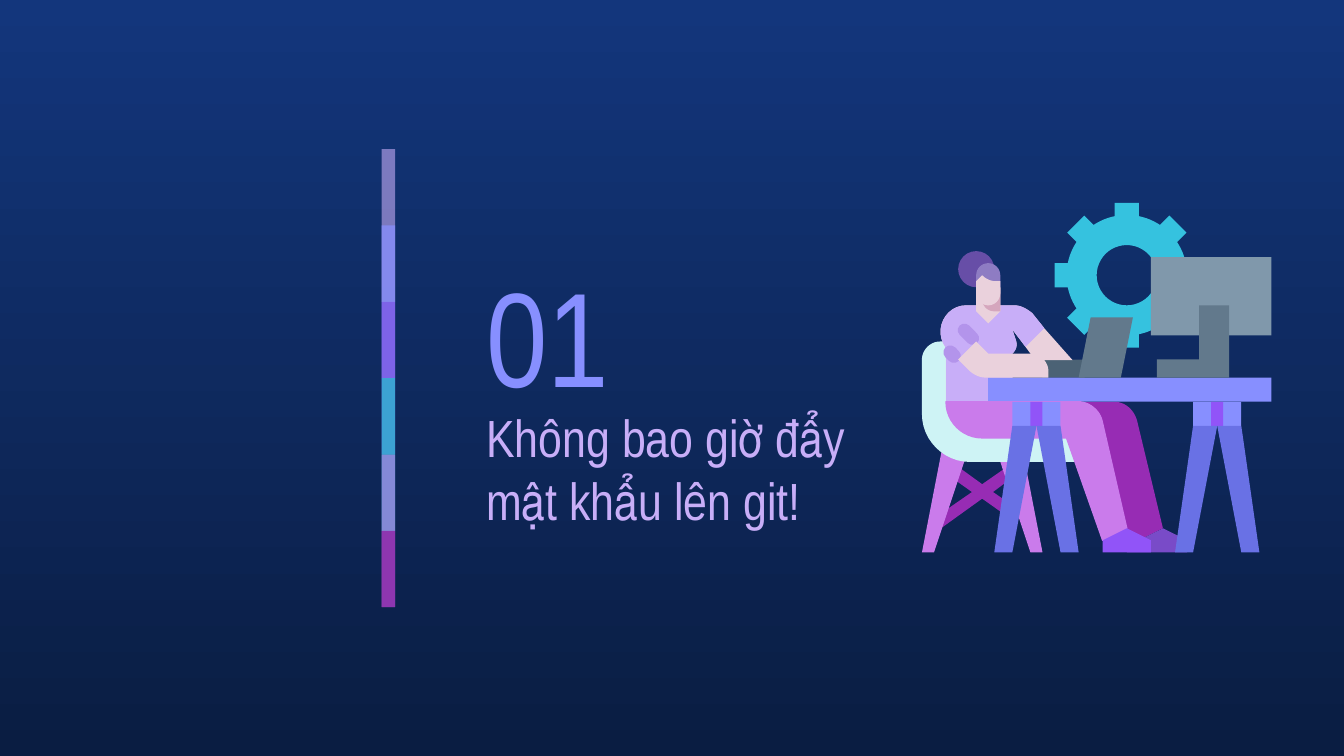
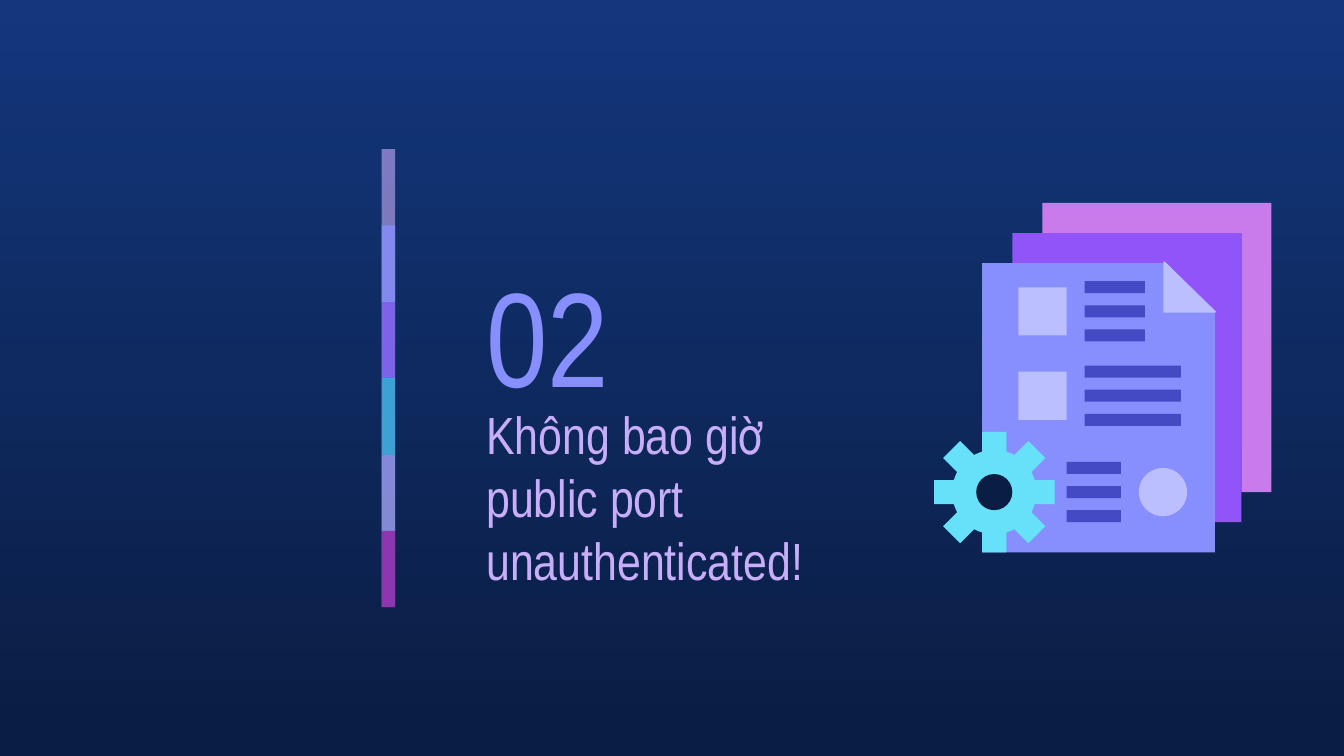
from math import cos, sin, pi, asin

from lxml.etree import SubElement as Sub
from pptx import Presentation
from pptx.dml.color import RGBColor as RGB
from pptx.enum.shapes import MSO_SHAPE as Kind
from pptx.enum.text import MSO_ANCHOR as Anchor
from pptx.oxml.ns import qn
from pptx.util import Inches, Pt

HUES = {
    "top": "13367C", "night": "0A1D42",
    "lilac": "C8AEF8", "blue": "878FFF", "violet": "9154F8",
    "teal": "35C2DF", "pink": "CA7BEB", "plum": "972CB4",
    "skin": "EAD1DC", "shade": "D5A6BD", "fold": "B394EB",
    "bun": "674EA7", "hair": "8E7CC3", "shoe": "794BC8",
    "seat": "CEF3F5", "slate": "4B6275", "steel": "62798C",
    "screen": "8098AB", "leg": "6971E5",
    "aqua": "67E0F9", "pale": "BBBFFF", "ink": "424BC4",
}
FACE = "Arial Narrow"
WIDE, HIGH = Inches(10), Inches(5.625)

# The artwork fills a square of 58 by 58 cells
CELL = Inches(2.6) / 58
LEFT, TOP = Inches(6.86), Inches(1.51)

# Colour and opacity of each rail band, downwards
RAIL = [("lilac", 59), ("blue", 74), ("violet", 53),
        ("teal", 76), ("pink", 56), ("plum", 74)]
BAND = 10.1


def trace(text):
    """Turn 'x,y' corners and 'x,y~x,y~x,y' curves into points."""
    dots = []
    for token in text.split():
        knots = [tuple(map(float, k.split(","))) for k in token.split("~")]
        if len(knots) == 1:
            dots += knots
            continue
        hull = [dots[-1], *knots]
        for step in range(1, 13):
            t = step / 12
            mix = ((1 - t) ** 3, 3 * t * (1 - t) ** 2, 3 * t * t * (1 - t), t ** 3)
            dots.append(tuple(sum(m * k[i] for m, k in zip(mix, hull))
                              for i in (0, 1)))
    return dots


def ring(x, y, size, start=0.0, end=2 * pi, steps=48):
    turns = [start + (end - start) * i / steps for i in range(steps + 1)]
    return [(x + size * cos(a), y + size * sin(a)) for a in turns]


class Deck:
    def __init__(self):
        self.file = Presentation()
        self.file.slide_width, self.file.slide_height = WIDE, HIGH
        self.slide = None

    def page(self, mark, title, tall):
        """Start a section slide: background, rail, number and title."""
        self.slide = self.file.slides.add_slide(self.file.slide_layouts[6])
        fill = self.slide.background.fill
        fill.gradient()
        fill.gradient_angle = 270
        for stop, hue in zip(fill.gradient_stops, ("top", "night")):
            stop.color.rgb = RGB.from_string(HUES[hue])
        for i, (hue, share) in enumerate(RAIL):
            span = BAND if i == len(RAIL) - 1 else 2 * BAND
            self.band(28.4, 19.73 + i * BAND, 1, span, hue, share)
        self.text(mark, 35.2, 32.18, 17.5, 24, 72, "blue")
        self.text(title, 35.2, 56, 28.7, tall, 28, "lilac")

    def area(self, x, y, w, h):
        """Percentages of the slide to lengths."""
        return [int(n * side / 100)
                for n, side in zip((x, y, w, h), (WIDE, HIGH) * 2)]

    def cells(self, x, y, w, h):
        """Cells of the artwork grid to lengths."""
        return [int(n) for n in
                (LEFT + x * CELL, TOP + y * CELL, w * CELL, h * CELL)]

    def paint(self, shape, hue, line=False):
        colour = RGB.from_string(HUES[hue])
        shape.shadow.inherit = False
        shape.fill.solid()
        shape.fill.fore_color.rgb = colour
        if line:
            shape.line.color.rgb = colour
            shape.line.width = Pt(0.75)
        else:
            shape.line.fill.background()
        return shape

    def preset(self, kind, spot, hue):
        return self.paint(self.slide.shapes.add_shape(kind, *spot), hue)

    def band(self, x, y, w, h, hue, share):
        shape = self.preset(Kind.RECTANGLE, self.area(x, y, w, h), hue)
        tint = next(shape.element.iter(qn("a:srgbClr")))
        Sub(tint, qn("a:alpha"), val=str(share * 1000))

    def text(self, words, x, y, w, h, size, hue):
        box = self.slide.shapes.add_textbox(*self.area(x, y, w, h))
        frame = box.text_frame
        frame.word_wrap = True
        frame.vertical_anchor = Anchor.MIDDLE
        frame.margin_left = frame.margin_right = Inches(0.1)
        frame.margin_top = frame.margin_bottom = Inches(0.1)
        para = frame.paragraphs[0]
        para.text = words
        para.font.name, para.font.size = FACE, Pt(size)
        para.font.color.rgb = RGB.from_string(HUES[hue])

    def rect(self, hue, *spot):
        self.preset(Kind.RECTANGLE, self.cells(*spot), hue)

    def disc(self, hue, x, y, size):
        self.preset(Kind.OVAL, self.cells(x, y, size, size), hue)

    def pill(self, hue, x, y, w, h):
        """Slanted pill centred on x, y."""
        spot = self.cells(x - w / 2, y - h / 2, w, h)
        shape = self.preset(Kind.ROUNDED_RECTANGLE, spot, hue)
        shape.adjustments[0] = 0.5
        shape.rotation = 45

    def loops(self, hue, *paths, line=False):
        paths = [[(round(LEFT + x * CELL), round(TOP + y * CELL))
                  for x, y in dots] for dots in paths]
        pen = self.slide.shapes.build_freeform(*paths[0][0])
        for i, dots in enumerate(paths):
            if i:
                pen.move_to(*dots[0])
            pen.add_line_segments(dots[1:], close=True)
        self.paint(pen.convert_to_shape(), hue, line)

    def form(self, hue, text, line=False):
        self.loops(hue, trace(text), line=line)

    def gear(self, hue, x, y, tip, body, hole=0):
        """Eight teeth, four cells wide, on a round body."""
        rim, lean = [], asin(2 / body)
        for i in range(8):
            a = i * pi / 4
            rim += [(x + tip * cos(a) - s * sin(a), y + tip * sin(a) + s * cos(a))
                    for s in (-2, 2)]
            rim += ring(x, y, body, a + lean, a + pi / 4 - lean, 6)
        self.loops(hue, rim, *([ring(x, y, hole)] if hole else []))


def desk(deck):
    deck.gear("teal", 34, 12, 12, 10, 5)
    deck.rect("slate", 20, 26, 7, 3)

    # Chair
    deck.form("plum", "5.6,43.5 4.5,45.3 8.3,48 1.8,52.5 2.9,54.2 10,49.1 "
              "13.8,51.8 15,50.2 11.8,48 15.4,45.3 14.3,43.7 10,46.7")
    deck.form("pink", "12,40 18,58 20,58 16.5,40")
    deck.form("pink", "3.5,40 0,58 2,58 8,40")
    deck.form("seat", "3,23 1.4,23~0,24.4~0,26 0,35 0,39.4~3.6,43~8,43 "
              "27,43 27,38 10,38 7.2,38~5,35.8~5,33 5,23")

    # Far leg and shoe
    deck.form("plum", "10,33 10,36.3~12.7,39~16,39 30,39 34,56 36,56 40,54 "
              "35.7,36.1 35.2,34.3~33.7,33~31.9,33")
    deck.form("shoe", "40,54 36,56 34,56 34,58 44,58 44,56")

    # Torso, first with the far forearm and then the shirt
    front = ("7.4,17 3.8,17~1.8,21.2~4,24.1 4,33 15,33 15,25 "
             "15.6,24.5~15.9,23.7~15.6,22.8 15,21 17.2,23.9 ")
    sleeve = "20.3,20.8 18.3,18.3 17.4,17.6~16.5,17~15.2,17"
    deck.form("skin", front + "18.8,26.1 25,26.1 " + sleeve)
    deck.form("lilac", front + sleeve)

    # Desk top, near arm and laptop
    deck.rect("blue", 11, 29, 47, 4)
    deck.pill("fold", 5, 25.1, 3.15, 2.3)
    deck.pill("fold", 7.7, 21.8, 4.1, 2.2)
    deck.form("skin", "9,14 9,18 11,20 13,18 13,14")
    deck.form("skin", "9,23 6,26 7.8,27.8 8.7,28.6~9.6,29~10.7,29 21,29 21,28 "
              "21,26.4~19.7,25~18,25 11,25")
    deck.form("steel", "28,19 26,29 33,29 35,19")

    # Near leg and shoe
    deck.form("pink", "4,33 4,36.3~6.7,39~10,39 24,39 30,56 34,54 "
              "29.9,36.2 29.5,34.4~27.7,33~25.9,33", line=True)
    deck.form("violet", "34,54 30,56 30,58 38,58 38,56")

    # Monitor
    deck.rect("screen", 38, 9, 20, 13)
    deck.form("steel", "46,17 46,26 39,26 39,29 51,29 51,17")

    # Trestles
    for x in (45, 15):
        deck.rect("blue", x, 33, 8, 4)
        deck.rect("violet", x + 3, 33, 2, 4)
        for side in (-1, 1):
            mid = x + 4
            deck.loops("leg", [(mid, 37), (mid + 4 * side, 58),
                               (mid + 7 * side, 58), (mid + 4 * side, 37)])

    # Head
    deck.form("shade", "10,14 10,16 10,17.1~10.9,18~12,18 13,18 13,14")
    deck.disc("bun", 6, 8, 6)
    deck.form("hair", "11,10 9.9,10~9,10.9~9,12 9,14 13,14 13,12 "
              "13,10.9~12.1,10~11,10")
    deck.form("skin", "10,12 9,13 9,15 9,16.1~9.9,17~11,17 "
              "12.1,17~13,16.1~13,15 13,13 12.4,13 11.5,13~10.7,12.7~10,12")


def papers(deck):
    # Sheets, from back to front
    deck.form("pink", "20,0 20,5 53,5 53,48 58,48 58,0")
    deck.form("violet", "15,5 15,10 40,10 48,18 48,53 53,53 53,5")
    deck.form("blue", "10,10 10,58 48.6,58 48.6,18.2 40.6,10")

    # Gear
    deck.gear("aqua", 12, 48, 10, 7)
    deck.disc("night", 9, 45, 6)

    # Page contents
    for y in (14, 28):
        deck.rect("pale", 16, y, 8, 8)
    deck.disc("pale", 36, 44, 8)
    for x, y, wide in ((27, 13, 10), (27, 27, 16), (24, 43, 9)):
        for row in range(3):
            deck.rect("ink", x, y + 4 * row, wide, 2)
    deck.form("pale", "40.2,9.8 40.2,18.1 48.7,18.1", line=True)


def main():
    deck = Deck()
    deck.page("01", "Không bao giờ đẩy mật khẩu lên git!", 11.9)
    desk(deck)
    deck.page("02", "Không bao giờ public port unauthenticated!", 19.4)
    papers(deck)
    deck.file.save("out.pptx")


if __name__ == "__main__":
    main()
